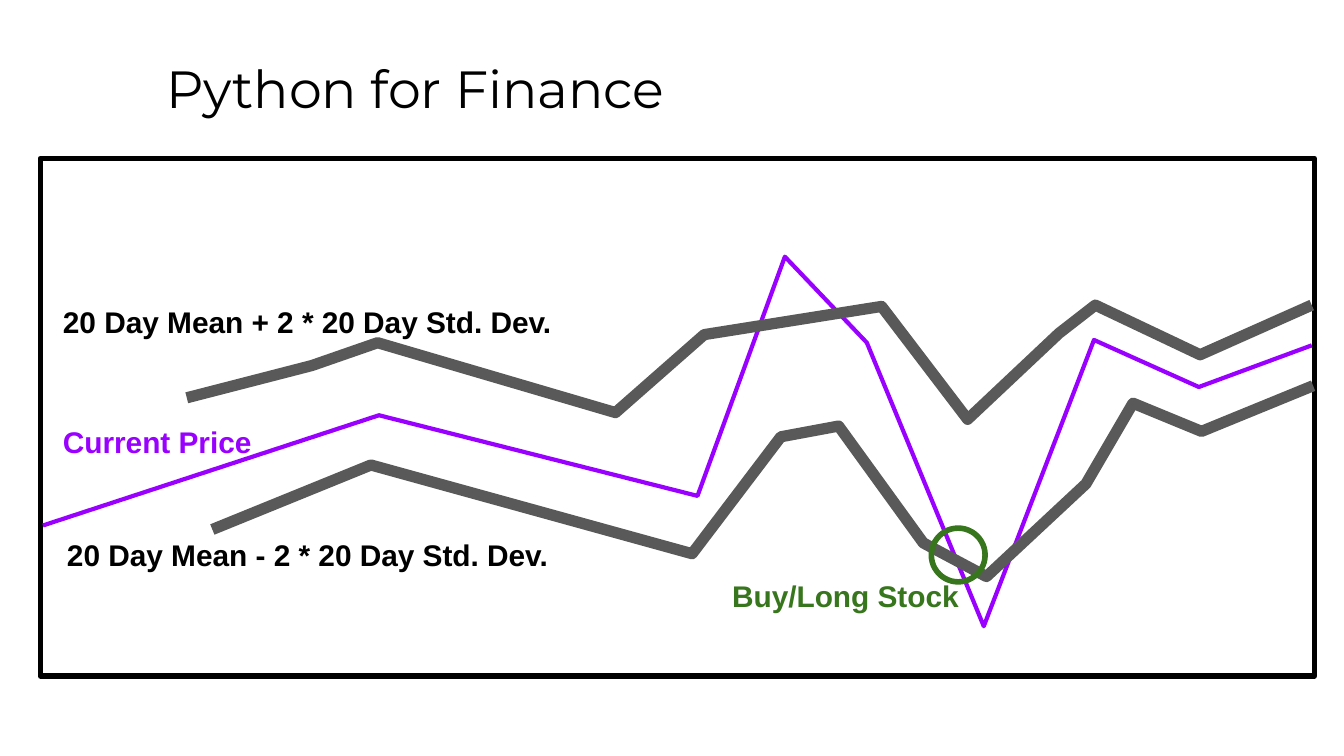
"""Build a slide showing a price line between two volatility bands."""

from dataclasses import dataclass

import lxml.etree
import pptx
import pptx.dml.color
import pptx.enum.shapes
import pptx.enum.text
import pptx.oxml.ns
import pptx.shapes.autoshape
import pptx.slide
import pptx.util

Inches = pptx.util.Inches
Color = pptx.dml.color.RGBColor
ShapeType = pptx.enum.shapes.MSO_SHAPE


@dataclass(frozen=True)
class Theme:
    black: Color = Color(0x00, 0x00, 0x00)
    white: Color = Color(0xFF, 0xFF, 0xFF)
    price: Color = Color(0x99, 0x00, 0xFF)
    band: Color = Color(0x59, 0x59, 0x59)
    signal: Color = Color(0x38, 0x76, 0x1D)
    title_font: str = "Montserrat"
    label_font: str = "Arial"
    title_size: float = 28
    label_size: float = 16
    frame_width: float = 3
    price_width: float = 2.25
    band_width: float = 6


THEME = Theme()


@dataclass(frozen=True)
class Box:
    left: float
    top: float
    width: float
    height: float

    def lengths(self) -> tuple[pptx.util.Length, ...]:
        return tuple(Inches(value) for value in (self.left, self.top, self.width, self.height))


@dataclass(frozen=True)
class Label:
    text: str
    box: Box
    color: Color = THEME.black
    font: str = THEME.label_font
    size: float = THEME.label_size
    bold: bool = True


@dataclass(frozen=True)
class Curve:
    points: tuple[tuple[float, float], ...]
    color: Color
    width: float


@dataclass(frozen=True)
class Outline:
    kind: ShapeType
    box: Box
    color: Color


TITLE = Label("Python for Finance", Box(1.14, 0.32, 8.52, 0.63),
              font=THEME.title_font, size=THEME.title_size, bold=False)
FRAME = Outline(ShapeType.RECTANGLE, Box(0.3, 1.18, 9.48, 3.85), THEME.black)
BUY_MARKER = Outline(ShapeType.OVAL, Box(6.93, 3.93, 0.4, 0.4), THEME.signal)

PRICE = Curve(
    ((0.32, 3.91), (2.82, 3.09), (5.19, 3.69), (5.84, 1.91), (6.45, 2.55),
     (7.32, 4.66), (8.14, 2.53), (8.92, 2.88), (9.76, 2.57)),
    THEME.price, THEME.price_width)
UPPER_BAND = Curve(
    ((1.39, 2.96), (2.32, 2.72), (2.81, 2.55), (4.58, 3.07), (5.24, 2.49), (6.56, 2.28),
     (7.2, 3.12), (7.88, 2.48), (8.15, 2.27), (8.93, 2.64), (9.76, 2.27)),
    THEME.band, THEME.band_width)
LOWER_BAND = Curve(
    ((1.58, 3.94), (2.76, 3.46), (5.15, 4.12), (5.81, 3.25), (6.24, 3.17), (6.87, 4.04),
     (7.34, 4.29), (8.08, 3.6), (8.43, 3), (8.94, 3.21), (9.77, 2.87)),
    THEME.band, THEME.band_width)

PRICE_LABEL = Label("Current Price", Box(0.37, 3.05, 3.1, 0.4), THEME.price)
SIGNAL_LABELS = (
    Label("Buy/Long Stock", Box(5.35, 4.2, 3.1, 0.4), THEME.signal),
    Label("20 Day Mean + 2 * 20 Day Std. Dev.", Box(0.37, 2.16, 4.1, 0.4)),
    Label("20 Day Mean - 2 * 20 Day Std. Dev.", Box(0.4, 3.89, 3.92, 0.4)),
)


def style_outline(shape: pptx.shapes.autoshape.Shape, color: Color, width: float) -> None:
    shape.shadow.inherit = False
    shape.fill.background()
    shape.line.color.rgb = color
    shape.line.width = pptx.util.Pt(width)
    line = shape.element.spPr.find(pptx.oxml.ns.qn("a:ln"))
    lxml.etree.SubElement(line, pptx.oxml.ns.qn("a:round"))


def draw_outline(slide: pptx.slide.Slide, outline: Outline) -> None:
    shape = slide.shapes.add_shape(outline.kind, *outline.box.lengths())
    style_outline(shape, outline.color, THEME.frame_width)


def draw_curve(slide: pptx.slide.Slide, curve: Curve) -> None:
    start, *rest = [(Inches(x), Inches(y)) for x, y in curve.points]
    builder = slide.shapes.build_freeform(*start)
    builder.add_line_segments(rest, close=False)
    style_outline(builder.convert_to_shape(), curve.color, curve.width)


def draw_label(slide: pptx.slide.Slide, label: Label) -> None:
    frame = slide.shapes.add_textbox(*label.box.lengths()).text_frame
    frame.word_wrap = True
    frame.vertical_anchor = pptx.enum.text.MSO_ANCHOR.TOP
    frame.margin_left = frame.margin_right = Inches(0.1)
    frame.margin_top = frame.margin_bottom = Inches(0.1)
    run = frame.paragraphs[0].add_run()
    run.text = label.text
    run.font.name = label.font
    run.font.size = pptx.util.Pt(label.size)
    run.font.bold = label.bold
    run.font.color.rgb = label.color


def main() -> None:
    presentation = pptx.Presentation()
    presentation.slide_width = Inches(10)
    presentation.slide_height = Inches(10 * 9 / 16)
    slide = presentation.slides.add_slide(presentation.slide_layouts[6])
    slide.background.fill.solid()
    slide.background.fill.fore_color.rgb = THEME.white

    draw_label(slide, TITLE)
    draw_outline(slide, FRAME)
    for curve in (PRICE, UPPER_BAND, LOWER_BAND):
        draw_curve(slide, curve)
    draw_label(slide, PRICE_LABEL)
    draw_outline(slide, BUY_MARKER)
    for label in SIGNAL_LABELS:
        draw_label(slide, label)

    presentation.save("out.pptx")


if __name__ == "__main__":
    main()
